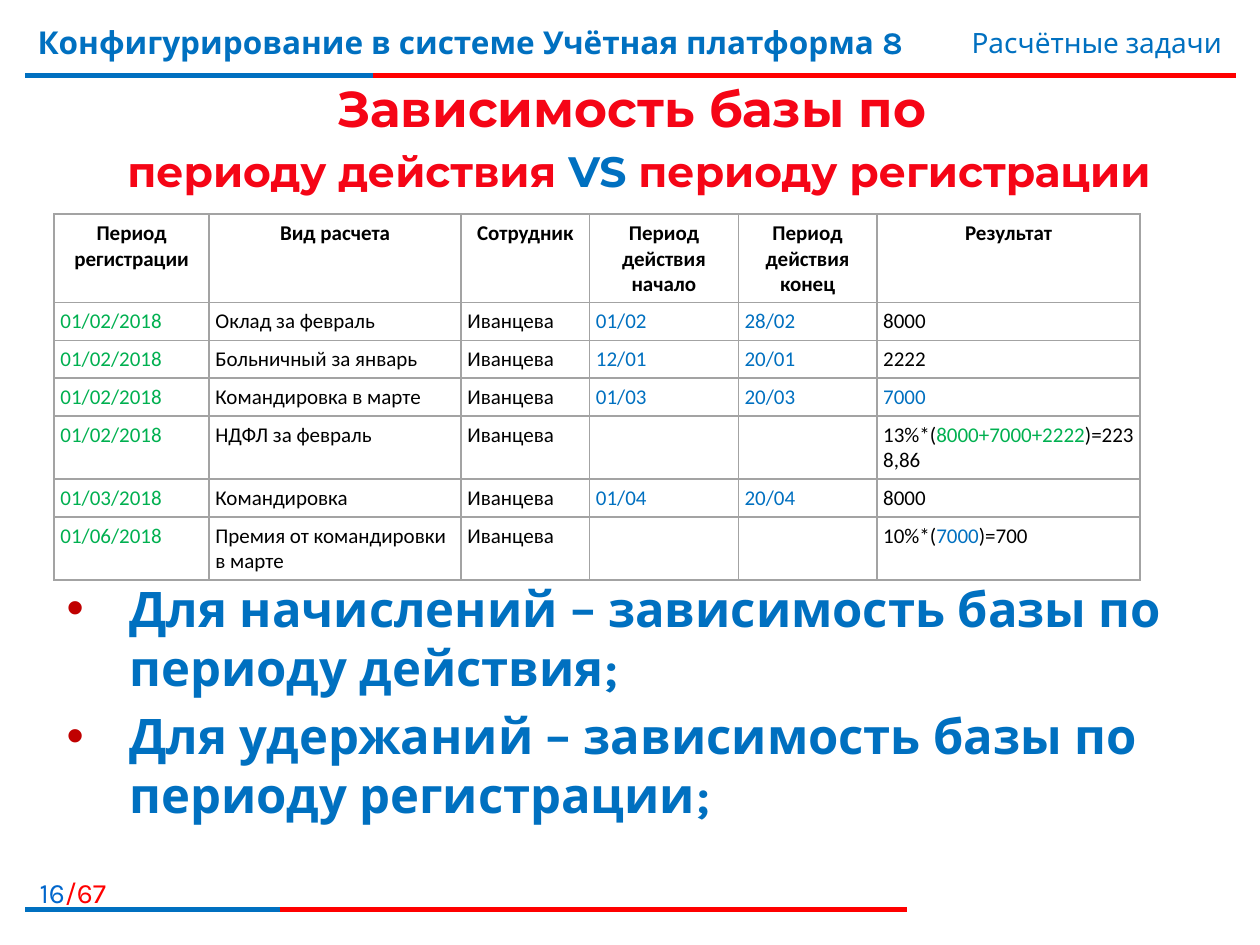
from dataclasses import dataclass

from lxml.etree import SubElement
from pptx import Presentation
from pptx.dml.color import RGBColor as Rgb
from pptx.enum.shapes import MSO_CONNECTOR as Connector
from pptx.enum.text import MSO_ANCHOR as Anchor, PP_ALIGN as Align
from pptx.oxml import parse_xml
from pptx.oxml.ns import nsdecls, qn
from pptx.util import Inches, Pt


@dataclass(frozen=True)
class Theme:
    body: str = "Karla"
    heading: str = "Montserrat"
    grid: str = "Calibri"
    blue: str = "0070C0"
    page_blue: str = "0066CC"
    red: str = "FF0000"
    title_red: str = "F50516"
    bullet_red: str = "C00000"
    green: str = "00B050"
    black: str = "000000"
    white: str = "FFFFFF"
    border: str = "A3A3A3"
    title_size: float = 28.8
    subtitle_size: float = 24.3
    point_size: float = 28
    course_size: float = 18
    small_size: float = 16
    cell_size: float = 12
    rule_width: float = 3


THEME = Theme()
COLUMNS, ROWS = 100, 75
WIDTH, HEIGHT = Inches(10), Inches(7.5)


def across(columns):
    return round(WIDTH * columns / COLUMNS)


def down(rows):
    return round(HEIGHT * rows / ROWS)


def area(left, top, width, height):
    return across(left), down(top), across(width), down(height)


def write(paragraph, text, font=THEME.body, size=THEME.small_size,
          color=THEME.blue, bold=False, align=None):
    if align is not None:
        paragraph.alignment = align
    run = paragraph.add_run()
    run.text = text
    run.font.name = font
    run.font.size = Pt(size)
    run.font.bold = bold
    run.font.color.rgb = Rgb.from_string(color)


def add_text_frame(slide, *box):
    frame = slide.shapes.add_textbox(*area(*box)).text_frame
    frame.word_wrap = True
    return frame


def add_rule(slide, row, blue_end, red_end):
    start = 2
    for end, color in ((red_end, THEME.red), (blue_end, THEME.blue)):
        stripe = slide.shapes.add_connector(
            Connector.STRAIGHT, across(start), down(row), across(end), down(row))
        stripe.line.color.rgb = Rgb.from_string(color)
        stripe.line.width = Pt(THEME.rule_width)
        SubElement(stripe._element.spPr, qn("a:effectLst"))


def add_title(slide):
    title = slide.shapes.title
    title.left, title.top, title.width, title.height = area(2.1, 6.3, 96.1, 9.2)
    frame = title.text_frame
    frame.word_wrap = True
    frame.vertical_anchor = Anchor.MIDDLE
    heading = frame.paragraphs[0]
    for text, size, color in (
        ("Зависимость базы по\v ", THEME.title_size, THEME.title_red),
        ("периоду действия ", THEME.subtitle_size, THEME.title_red),
        ("VS", THEME.subtitle_size, THEME.blue),
        (" периоду регистрации", THEME.subtitle_size, THEME.title_red),
    ):
        lines = text.split("\v")
        write(heading, lines[0], font=THEME.heading, size=size, color=color,
              bold=True, align=Align.CENTER)
        for line in lines[1:]:
            heading.add_line_break()
            write(heading, line, font=THEME.heading, size=size, color=color, bold=True)


def format_cell(cell, fill):
    cell.margin_left = cell.margin_right = Inches(0.05)
    cell.margin_top = cell.margin_bottom = Inches(0.05)
    if fill:
        cell.fill.solid()
        cell.fill.fore_color.rgb = Rgb.from_string(fill)
    else:
        cell.fill.background()
    properties = cell._tc.get_or_add_tcPr()
    for position, side in enumerate(("lnL", "lnR", "lnT", "lnB")):
        properties.insert(position, parse_xml(
            f'<a:{side} {nsdecls("a")} w="{Pt(1)}"><a:solidFill>'
            f'<a:srgbClr val="{THEME.border}"/></a:solidFill></a:{side}>'))


def add_accruals(slide):
    headers = ("Период регистрации", "Вид расчета", "Сотрудник",
               "Период действия начало", "Период действия конец", "Результат")
    employee = "Иванцева"
    february = "01/02/2018"
    black, blue, green = THEME.black, THEME.blue, THEME.green
    accruals = (
        (february, "Оклад за февраль", "01/02", "28/02", [("8000", black)]),
        (february, "Больничный за январь", "12/01", "20/01", [("2222", black)]),
        (february, "Командировка в марте", "01/03", "20/03", [("7000", blue)]),
        (february, "НДФЛ за февраль", "", "",
         [("13%*(", black), ("8000+7000+2222", green), (")=2238,86", black)]),
        ("01/03/2018", "Командировка", "01/04", "20/04", [("8000", black)]),
        ("01/06/2018", "Премия от командировки в марте", "", "",
         [("10%*(", black), ("7000", blue), (")=700", black)]),
    )
    widths = (12.3, 20, 10.2, 11.8, 11, 20.9)
    heights = (4.8, 2.8, 2.8, 2.8, 4.8, 2.8, 4.8)
    table = slide.shapes.add_table(
        len(heights), len(widths), *area(4.3, 17, sum(widths), sum(heights))).table
    table.first_row = table.horz_banding = False
    for column, width in zip(table.columns, widths):
        column.width = across(width)
    for row, height in zip(table.rows, heights):
        row.height = down(height)

    for cell, header in zip(table.rows[0].cells, headers):
        format_cell(cell, None)
        write(cell.text_frame.paragraphs[0], header, font=THEME.grid,
              size=THEME.cell_size, color=black, bold=True, align=Align.CENTER)

    for number, (registered, kind, start, end, result) in enumerate(accruals, 1):
        contents = ([(registered, green)], [(kind, black)], [(employee, black)],
                    [(start, blue)], [(end, blue)], result)
        for cell, parts in zip(table.rows[number].cells, contents):
            format_cell(cell, THEME.white)
            entry = cell.text_frame.paragraphs[0]
            entry.font.size = Pt(THEME.cell_size)
            for text, color in parts:
                if text:
                    write(entry, text, font=THEME.grid, size=THEME.cell_size, color=color)


def add_conclusions(slide):
    frame = add_text_frame(slide, 4.3, 45.4, 90.6, 24.8)
    conclusions = ("Для начислений – зависимость базы по периоду действия;",
                   "Для удержаний – зависимость базы по периоду регистрации;")
    for number, conclusion in enumerate(conclusions):
        point = frame.add_paragraph() if number else frame.paragraphs[0]
        properties = point._p.get_or_add_pPr()
        properties.set("marL", str(Inches(0.5)))
        properties.set("indent", str(-Inches(0.5)))
        bullet_color = SubElement(properties, qn("a:buClr"))
        SubElement(bullet_color, qn("a:srgbClr"), val=THEME.bullet_red)
        SubElement(properties, qn("a:buFont"), typeface="Arial")
        SubElement(properties, qn("a:buChar"), char="•")
        if number:
            point.space_before = Pt(THEME.point_size * 0.2)
        write(point, conclusion, size=THEME.point_size, bold=True)


def add_header(slide):
    add_rule(slide, 6, 29.6, 98.1)
    course = add_text_frame(slide, 2, 1.3, 74, 6.2).paragraphs[0]
    write(course, "Конфигурирование в системе Учётная платформа 8",
          size=THEME.course_size, bold=True)
    topic = add_text_frame(slide, 59.4, 1.5, 38.6, 3.7).paragraphs[0]
    write(topic, "Расчётные задачи", align=Align.RIGHT)


def add_footer(slide):
    add_rule(slide, 72.2, 22.2, 72)
    page = add_text_frame(slide, 0, 69, 9.4, 3.2).paragraphs[0]
    write(page, "16", color=THEME.page_blue, align=Align.RIGHT)
    write(page, "/67", color=THEME.red)


def main():
    deck = Presentation()
    deck.slide_width, deck.slide_height = WIDTH, HEIGHT
    slide = deck.slides.add_slide(deck.slide_layouts[5])
    add_header(slide)
    add_footer(slide)
    add_title(slide)
    add_accruals(slide)
    add_conclusions(slide)
    deck.save("out.pptx")


if __name__ == "__main__":
    main()
